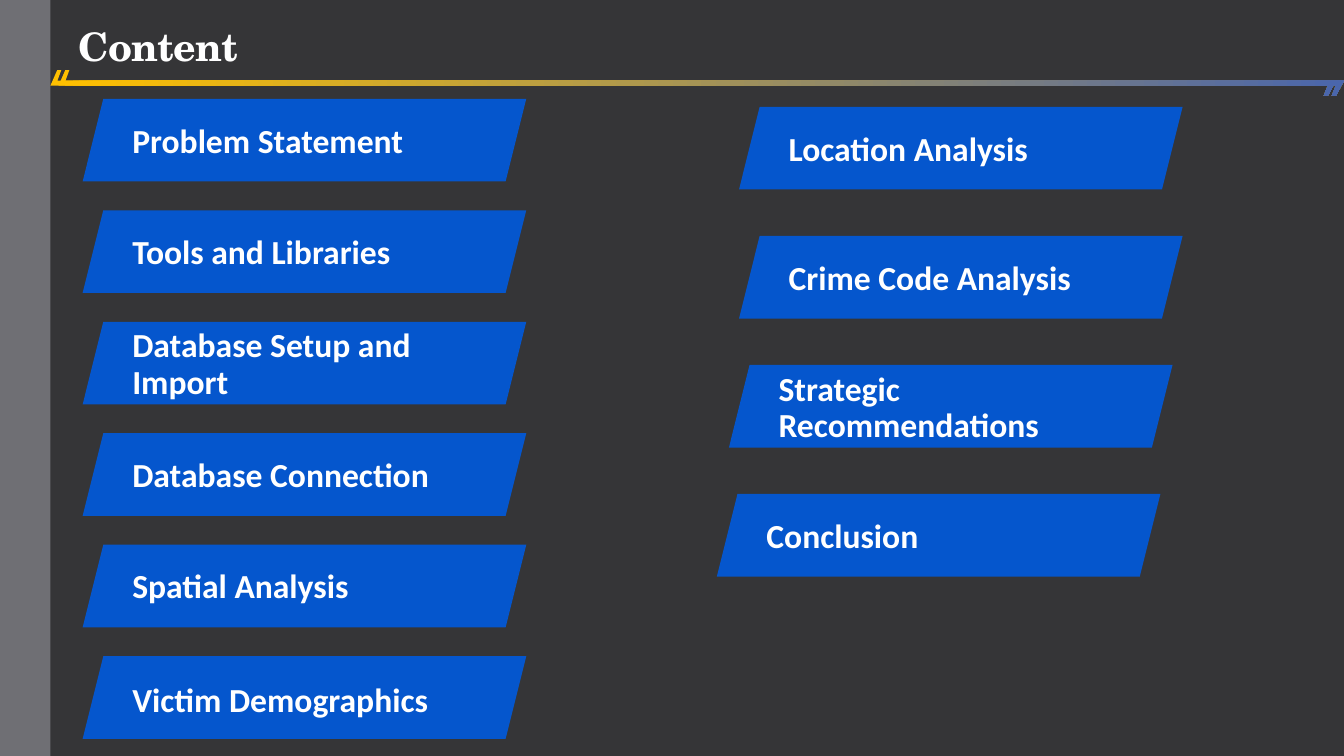
from pptx import Presentation
from pptx.dml.color import RGBColor
from pptx.enum.shapes import MSO_SHAPE
from pptx.enum.text import MSO_ANCHOR, PP_ALIGN
from pptx.util import Inches, Pt

RECTANGLE = MSO_SHAPE.RECTANGLE
PARALLELOGRAM = MSO_SHAPE.PARALLELOGRAM
MIDDLE = MSO_ANCHOR.MIDDLE
LEFT = PP_ALIGN.LEFT

RIBBON_POINTS = [
    (0.57, 0.69), (0.61, 0.69), (0.57, 0.8), (13.25, 0.8),
    (13.17, 0.95), (13.13, 0.95), (13.17, 0.85), (0.5, 0.85),
]
LEFT_TOPICS = [
    "Problem Statement",
    "Tools and Libraries",
    "Database Setup and Import",
    "Database Connection",
    "Spatial Analysis",
    "Victim Demographics",
]
RIGHT_TOPICS = [
    ("Location Analysis", 7.33),
    ("Crime Code Analysis", 7.33),
    ("Strategic Recommendations", 7.23),
    ("Conclusion", 7.11),
]


def color(value):
    return RGBColor.from_string(value)


class ContentSlide:
    background = "353537"
    rail = "6F6F74"
    topic_fill = "0556CD"
    ribbon_ends = ("FFC000", "4A66AC")
    text_color = "FFFFFF"
    title_font = "TeX Gyre Schola"
    topic_font = "Calibri"

    def __init__(self, presentation):
        self.slide = presentation.slides.add_slide(presentation.slide_layouts[6])
        fill = self.slide.background.fill
        fill.solid()
        fill.fore_color.rgb = color(self.background)

    def add_block(self, kind, left, top, width, height, fill):
        shape = self.slide.shapes.add_shape(
            kind, Inches(left), Inches(top), Inches(width), Inches(height)
        )
        shape.shadow.inherit = False
        shape.fill.solid()
        shape.fill.fore_color.rgb = color(fill)
        shape.line.fill.background()
        return shape

    def add_text(self, shape, text, font, size, margins, spacing):
        frame = shape.text_frame
        frame.word_wrap = True
        frame.vertical_anchor = MIDDLE
        (frame.margin_left, frame.margin_top,
         frame.margin_right, frame.margin_bottom) = map(Inches, margins)
        paragraph = frame.paragraphs[0]
        paragraph.alignment = LEFT
        paragraph.line_spacing = spacing
        run = paragraph.add_run()
        run.text = text
        run.font.name = font
        run.font.size = Pt(size)
        run.font.bold = True
        run.font.color.rgb = color(self.text_color)
        return run

    def add_rail(self):
        self.add_block(RECTANGLE, 0, 0, 0.5, 7.5, self.rail)

    def add_ribbon(self, offset):
        points = [(Inches(x + offset), Inches(y)) for x, y in RIBBON_POINTS]
        builder = self.slide.shapes.build_freeform(*points[0])
        builder.add_line_segments(points[1:])
        shape = builder.convert_to_shape()
        shape.shadow.inherit = False
        shape.line.fill.background()
        shape.fill.gradient()
        shape.fill.gradient_angle = 0
        for position, (stop, end) in enumerate(
            zip(shape.fill.gradient_stops, self.ribbon_ends)
        ):
            stop.position = position
            stop.color.rgb = color(end)

    def add_title(self, text):
        box = self.slide.shapes.add_textbox(
            Inches(0.37), Inches(0.22), Inches(9.17), Inches(0.55)
        )
        margins = (0.41, 0.05, 0.1, 0.05)
        run = self.add_text(box, text, self.title_font, 28, margins, 0.85)
        run._r.get_or_add_rPr().set("spc", "-50")

    def add_topic(self, text, left, top, spacing=0.9):
        shape = self.add_block(PARALLELOGRAM, left, top, 4.4, 0.82, self.topic_fill)
        shape.adjustments[0] = 0.25
        margins = (0.04, 0.08, 0.04, 0.04)
        self.add_text(shape, text, self.topic_font, 24, margins, spacing)


def main():
    presentation = Presentation()
    presentation.slide_width = Inches(13.33)
    presentation.slide_height = Inches(7.5)

    content = ContentSlide(presentation)
    content.add_rail()
    for offset in (0, 0.08):
        content.add_ribbon(offset)
    content.add_title("Content")

    first_top, last_top = 0.98, 6.51
    last = len(LEFT_TOPICS) - 1
    pitch = (last_top - first_top) / last
    for index, text in enumerate(LEFT_TOPICS):
        spacing = 1.0 if index == last else 0.9
        content.add_topic(text, 0.82, first_top + index * pitch, spacing)
    for index, (text, left) in enumerate(RIGHT_TOPICS):
        content.add_topic(text, left, 1.06 + index * 1.28)

    presentation.save("out.pptx")


if __name__ == "__main__":
    main()
